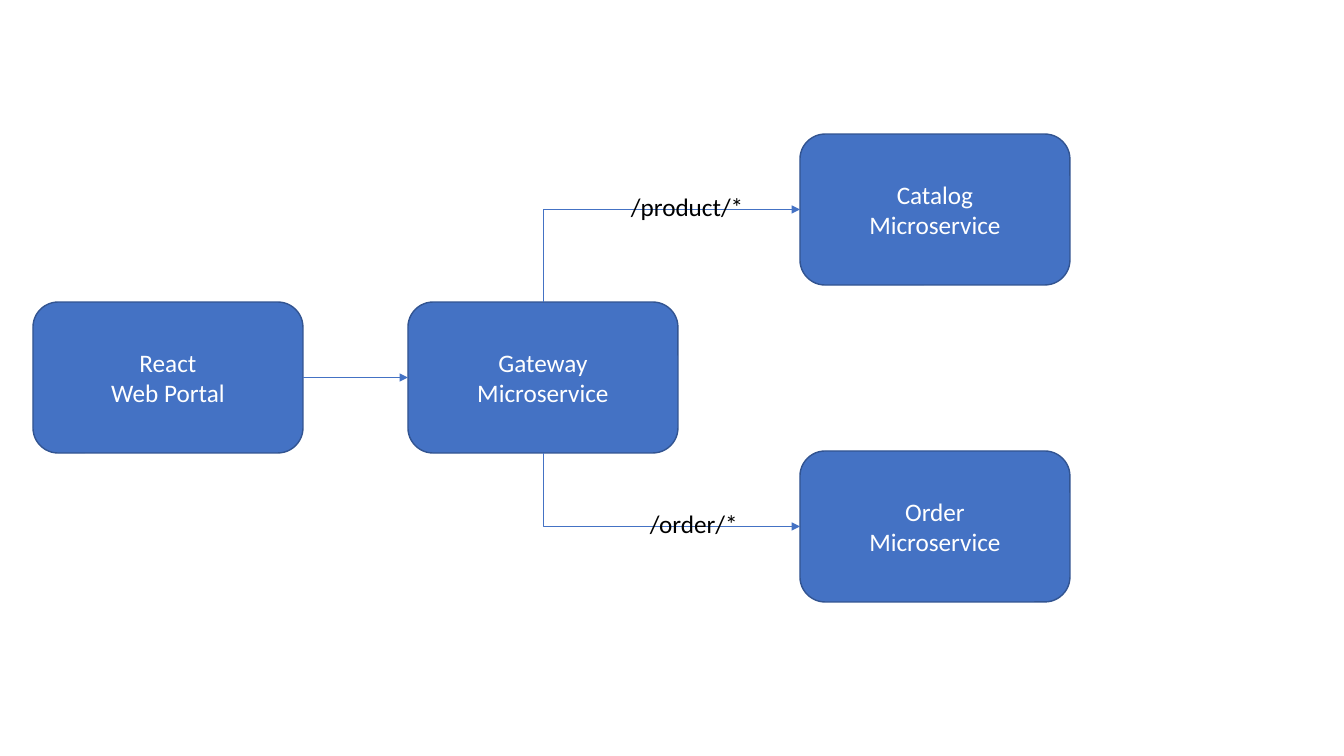
import pptx
import pptx.dml.color
import pptx.enum.shapes
import pptx.enum.text
import pptx.oxml.ns
import pptx.util
from lxml import etree

SCALE = 914400 / 100.8
COLORS = {"blue": "4472C4", "outline": "325491", "white": "FFFFFF", "black": "000000"}
FONT = "Calibri"
BOX_WIDTH, BOX_HEIGHT = 270, 151
TOP, LEFT, BOTTOM, RIGHT = range(4)


def px(length):
    return pptx.util.Emu(round(length * SCALE))


def color(name):
    return pptx.dml.color.RGBColor.from_string(COLORS[name])


def write_text(shape, text, *, size=18, fill="black", align="LEFT", anchor="TOP", wrap=True):
    frame = shape.text_frame
    frame.word_wrap = wrap
    frame.vertical_anchor = getattr(pptx.enum.text.MSO_ANCHOR, anchor)
    frame.text = text
    for paragraph in frame.paragraphs:
        paragraph.alignment = getattr(pptx.enum.text.PP_ALIGN, align)
        for run in paragraph.runs:
            run.font.name = FONT
            run.font.size = pptx.util.Pt(size)
            run.font.color.rgb = color(fill)


def add_service(slide, text, left, top):
    shape = slide.shapes.add_shape(
        pptx.enum.shapes.MSO_SHAPE.ROUNDED_RECTANGLE,
        px(left), px(top), px(BOX_WIDTH), px(BOX_HEIGHT))
    shape.shadow.inherit = False
    shape.fill.solid()
    shape.fill.fore_color.rgb = color("blue")
    shape.line.color.rgb = color("outline")
    shape.line.width = pptx.util.Pt(1)
    write_text(shape, text, fill="white", align="CENTER", anchor="MIDDLE")
    return shape


def add_arrow(slide, kind, source, source_side, target):
    connector = slide.shapes.add_connector(kind, 0, 0, 0, 0)
    connector.begin_connect(source, source_side)
    connector.end_connect(target, LEFT)
    connector.line.color.rgb = color("blue")
    connector.line.width = pptx.util.Pt(0.5)
    line = connector.line._get_or_add_ln()
    etree.SubElement(line, pptx.oxml.ns.qn("a:tailEnd"), type="triangle")
    etree.SubElement(connector.element.spPr, pptx.oxml.ns.qn("a:effectLst"))
    return connector


def add_route(slide, gateway, side, service):
    connector = add_arrow(slide, pptx.enum.shapes.MSO_CONNECTOR.ELBOW, gateway, side, service)
    across, along = connector.height, connector.width
    center_x = connector.left + along // 2
    center_y = connector.top + across // 2
    connector.left, connector.top = center_x - across // 2, center_y - along // 2
    connector.width, connector.height = across, along
    properties = connector.element.spPr
    properties.find(pptx.oxml.ns.qn("a:prstGeom")).set("prst", "bentConnector2")
    transform = properties.find(pptx.oxml.ns.qn("a:xfrm"))
    upward = side == TOP
    transform.set("rot", str((90 if upward else 270) * 60000))
    transform.set("flipH", "1")
    transform.set("flipV", "1" if upward else "0")


def add_path_label(slide, text, left, top, width):
    label = slide.shapes.add_textbox(px(left), px(top), px(width), px(40))
    write_text(label, text, wrap=False)
    label.text_frame.auto_size = pptx.enum.text.MSO_AUTO_SIZE.SHAPE_TO_FIT_TEXT


def add_architecture(slide, left, top):
    middle = top + 168
    gateway = add_service(slide, "Gateway\nMicroservice", left + 375, middle)
    catalog = add_service(slide, "Catalog\nMicroservice", left + 767, top)
    order = add_service(slide, "Order\nMicroservice", left + 767, top + 317)
    add_route(slide, gateway, TOP, catalog)
    add_route(slide, gateway, BOTTOM, order)
    add_path_label(slide, "/product/*", left + 588, top + 52, 134)
    add_path_label(slide, "/order/*", left + 607, top + 369, 109)
    portal = add_service(slide, "React\nWeb Portal", left, middle)
    add_arrow(slide, pptx.enum.shapes.MSO_CONNECTOR.STRAIGHT, portal, RIGHT, gateway)


def main():
    presentation = pptx.Presentation()
    presentation.slide_width, presentation.slide_height = px(1344), px(756)
    slide = presentation.slides.add_slide(presentation.slide_layouts[6])
    add_architecture(slide, 33, 134)
    presentation.save("out.pptx")


if __name__ == "__main__":
    main()
